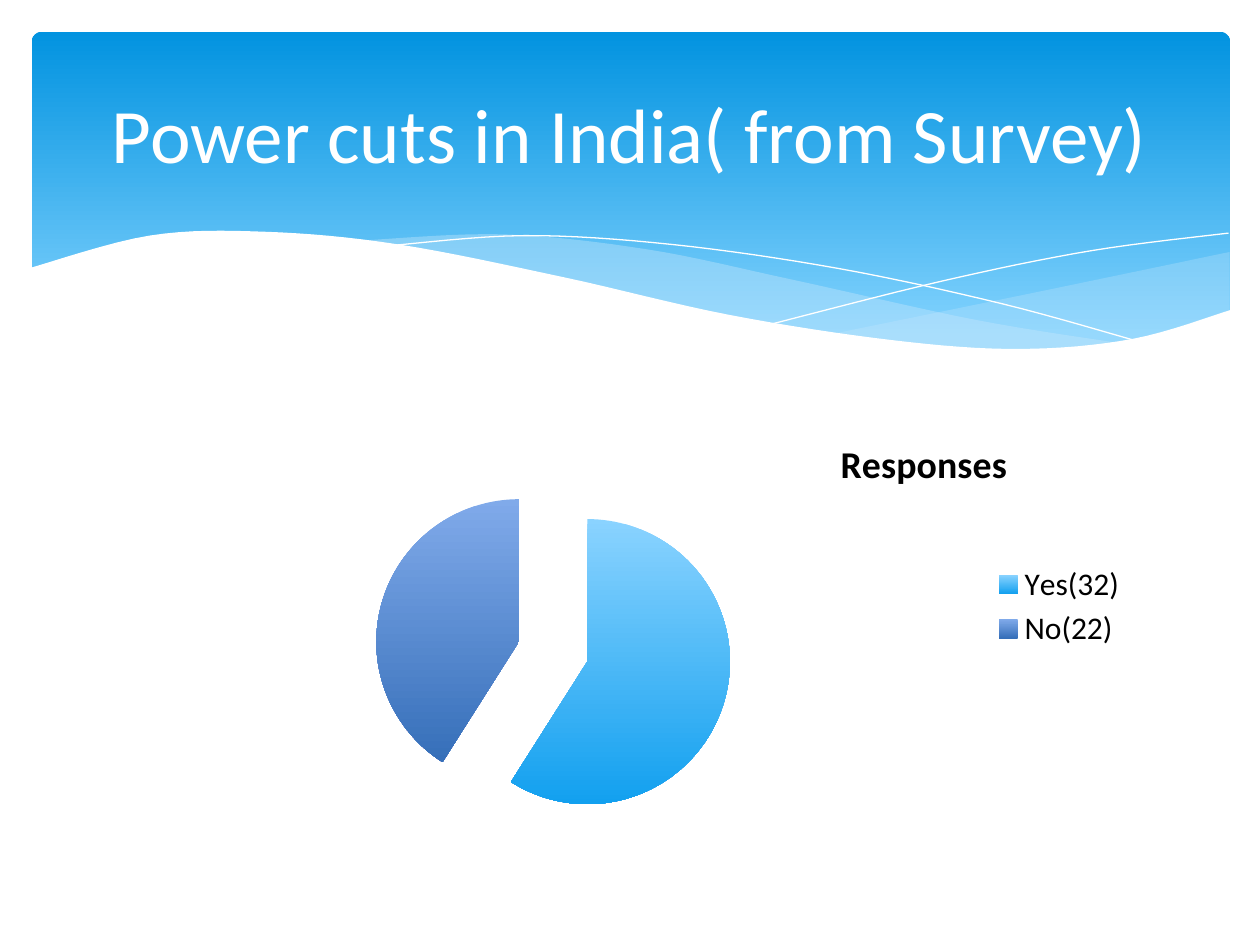
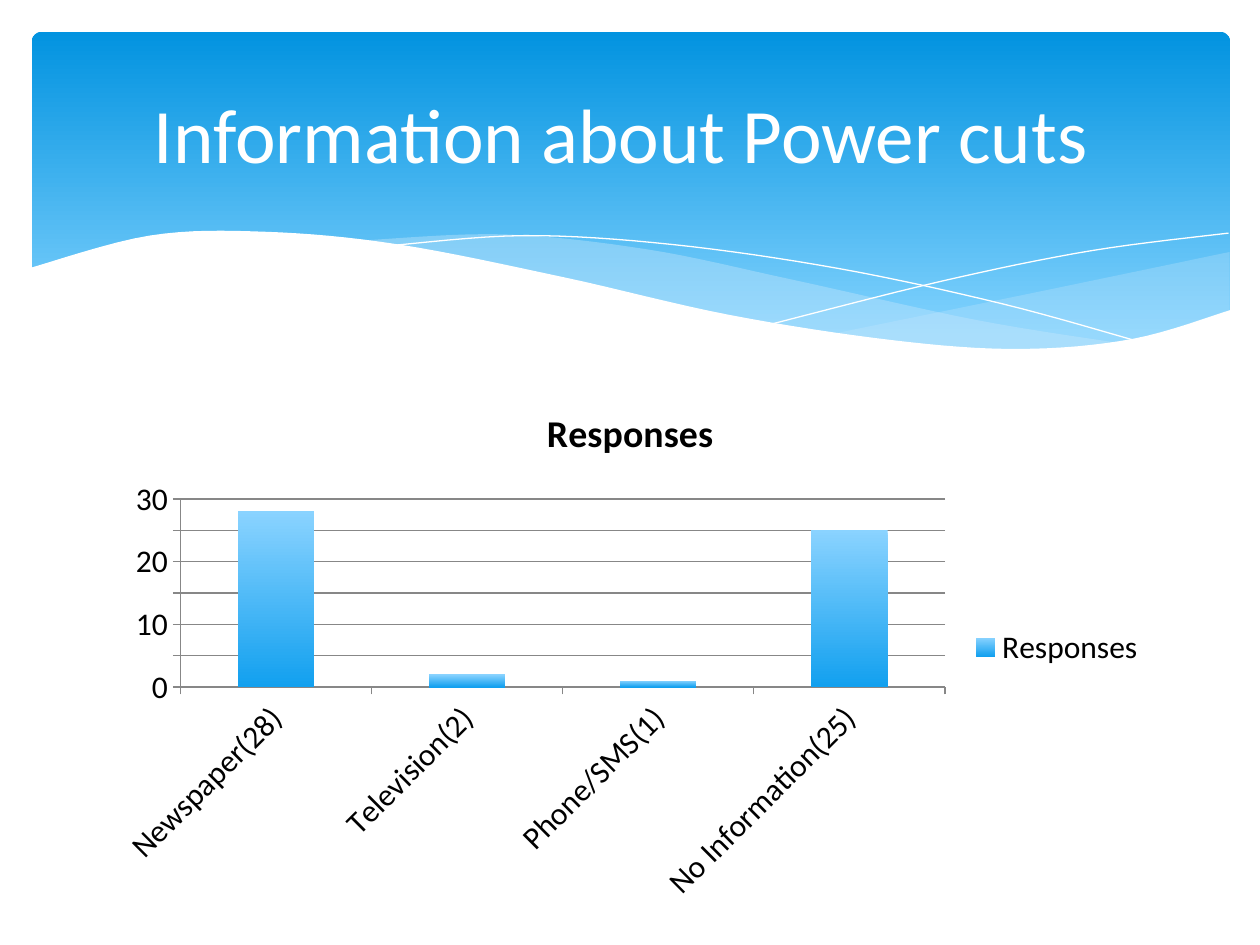
"""Build two survey slides about power cuts, each with a wave banner and a chart."""

from dataclasses import dataclass

from lxml import etree
from pptx import Presentation
from pptx.chart.chart import Chart
from pptx.chart.data import CategoryChartData
from pptx.dml.color import RGBColor
from pptx.dml.fill import FillFormat
from pptx.enum.chart import XL_CHART_TYPE, XL_LEGEND_POSITION, XL_TICK_MARK
from pptx.enum.shapes import MSO_SHAPE
from pptx.enum.text import MSO_ANCHOR, PP_ALIGN
from pptx.oxml.ns import qn
from pptx.slide import Slide
from pptx.util import Cm, Pt

PIE = XL_CHART_TYPE.PIE
COLUMN_STACKED = XL_CHART_TYPE.COLUMN_STACKED
LEGEND_RIGHT = XL_LEGEND_POSITION.RIGHT
TICK_OUTSIDE = XL_TICK_MARK.OUTSIDE
ROUNDED_RECTANGLE = MSO_SHAPE.ROUNDED_RECTANGLE
MIDDLE = MSO_ANCHOR.MIDDLE
CENTER = PP_ALIGN.CENTER

WHITE = RGBColor(0xFF, 0xFF, 0xFF)
BLACK = RGBColor(0x00, 0x00, 0x00)
GRID_GRAY = RGBColor(0x87, 0x87, 0x87)
BAND_TOP = RGBColor(0x02, 0x93, 0xE0)
BAND_BOTTOM = RGBColor(0x83, 0xD3, 0xFE)
WAVE_BLUE = RGBColor(0xC6, 0xE7, 0xFC)
SKY_LIGHT = RGBColor(0x8A, 0xD3, 0xFF)
SKY_DARK = RGBColor(0x12, 0xA0, 0xEF)
NAVY_LIGHT = RGBColor(0x80, 0xAA, 0xEA)
NAVY_DARK = RGBColor(0x36, 0x6F, 0xB9)

FONT = "Calibri"
WAVE_UNIT = Cm(2.54) / 100
CURVE_STEPS = 8

Points = list[tuple[float, float]]
Gradient = tuple[RGBColor, RGBColor]
Box = tuple[float, float, float, float]

SKY: Gradient = (SKY_LIGHT, SKY_DARK)
NAVY: Gradient = (NAVY_LIGHT, NAVY_DARK)


@dataclass(frozen=True)
class Wave:
    """Curves joined end to end, in wave units; without a fill, a white hairline."""

    curves: list[Points]
    fill: RGBColor | None = None
    opacity: int = 100


@dataclass(frozen=True)
class ChartSlide:
    """A titled slide with one chart; the box is in centimetres."""

    title: str
    kind: XL_CHART_TYPE
    box: Box
    answers: dict[str, int]


WAVES = [
    Wave([
        [(976, 200), (832, 230), (661, 265)],
        [(661, 265), (732, 274), (814, 278), (889, 272), (976, 247)],
    ], WAVE_BLUE, 29),
    Wave([
        [(893, 273), (775, 254), (629, 222), (514, 198), (399, 186), (286, 191)],
        [(286, 191), (449, 222), (566, 248), (695, 270), (796, 278), (893, 273)],
    ], WAVE_BLUE, 40),
    Wave([[(309, 195), (416, 187), (533, 194), (665, 213), (795, 241), (907, 272)]]),
    Wave([[(613, 257), (748, 223), (866, 199), (975, 185)]]),
    Wave([
        [(977, 246), (899, 269), (809, 277), (708, 270), (579, 250), (447, 220),
         (316, 194), (211, 184), (119, 187), (23, 213)],
        [(23, 329), (977, 329)],
    ], WHITE),
]

CHART_SLIDES = [
    ChartSlide("Power cuts in India( from Survey)", PIE, (2.41, 7.44, 20.57, 9.58),
               {"Yes(32)": 59, "No(22)": 41}),
    ChartSlide("Information about Power cuts ", COLUMN_STACKED, (2.06, 7.7, 21.29, 10.69),
               {"Newspaper(28)": 28, "Television(2)": 2, "Phone/SMS(1)": 1,
                "No Information(25)": 25}),
]


def smooth_curve(knots: Points) -> Points:
    """Return points of a Catmull-Rom spline through the knots."""
    padded = [knots[0], *knots, knots[-1]]
    points = [knots[0]]
    for before, start, end, after in zip(padded, padded[1:], padded[2:], padded[3:]):
        for step in range(1, CURVE_STEPS + 1):
            t = step / CURVE_STEPS
            x, y = (
                b + (c - a) * t / 2
                + (2 * a - 5 * b + 4 * c - d) * t ** 2 / 2
                + (3 * b - a - 3 * c + d) * t ** 3 / 2
                for a, b, c, d in zip(before, start, end, after)
            )
            points.append((x, y))
    return points


def fill_gradient(fill: FillFormat, colors: Gradient, end: float = 1.0) -> None:
    """Fill from top to bottom with two colours."""
    fill.gradient()
    fill.gradient_angle = 270
    for stop, color, position in zip(fill.gradient_stops, colors, (0.0, end)):
        stop.color.rgb = color
        stop.position = position


def draw_wave(slide: Slide, wave: Wave) -> None:
    """Draw one curve of the banner."""
    points = [
        (x * WAVE_UNIT, y * WAVE_UNIT)
        for knots in wave.curves for x, y in smooth_curve(knots)
    ]
    builder = slide.shapes.build_freeform(*points[0])
    builder.add_line_segments(points[1:], close=wave.fill is not None)
    shape = builder.convert_to_shape()
    shape.shadow.inherit = False
    if wave.fill is None:
        shape.fill.background()
        shape.line.color.rgb = WHITE
        shape.line.width = Pt(0)
        return
    shape.fill.solid()
    shape.fill.fore_color.rgb = wave.fill
    shape.line.fill.background()
    if wave.opacity < 100:
        color = shape.element.spPr.find(".//" + qn("a:srgbClr"))
        etree.SubElement(color, qn("a:alpha"), val=str(wave.opacity * 1000))


def draw_banner(slide: Slide, title: str) -> None:
    """Draw the gradient band, its waves and the slide title."""
    band = slide.shapes.add_shape(ROUNDED_RECTANGLE, Cm(0.64), Cm(0.64), Cm(24.16), Cm(6.86))
    band.adjustments[0] = 0.03
    band.shadow.inherit = False
    band.line.fill.background()
    fill_gradient(band.fill, (BAND_TOP, BAND_BOTTOM), 0.9)
    for wave in WAVES:
        draw_wave(slide, wave)

    title_box = slide.shapes.add_textbox(Cm(1.27), Cm(0.94), Cm(22.86), Cm(3.48))
    frame = title_box.text_frame
    frame.word_wrap = True
    frame.vertical_anchor = MIDDLE
    paragraph = frame.paragraphs[0]
    paragraph.text = title
    paragraph.alignment = CENTER
    paragraph.font.name = FONT
    paragraph.font.size = Pt(44)
    paragraph.font.color.rgb = WHITE


def place_chart_part(part: etree._Element, index: int, **fractions: float) -> None:
    """Place a chart part by fractions of the chart area."""
    for previous in part.findall(qn("c:layout")):
        part.remove(previous)
    layout = etree.Element(qn("c:layout"))
    manual = etree.SubElement(layout, qn("c:manualLayout"))
    if "w" in fractions:
        etree.SubElement(manual, qn("c:layoutTarget"), val="inner")
    for axis in "xy":
        etree.SubElement(manual, qn(f"c:{axis}Mode"), val="edge")
    for name, value in fractions.items():
        etree.SubElement(manual, qn(f"c:{name}"), val=str(value))
    part.insert(index, layout)


def style_pie(chart: Chart) -> None:
    """Pull the slices apart, colour them and place the pie and its title."""
    chart.plots[0].vary_by_categories = True
    series_element = chart.element.find(".//" + qn("c:ser"))
    explosion = etree.Element(qn("c:explosion"), val="25")
    series_element.find(qn("c:tx")).addnext(explosion)
    for index, colors in enumerate((SKY, NAVY)):
        fill_gradient(chart.series[0].points[index].format.fill, colors)
    place_chart_part(chart.chart_title.element, 1, x=0.7, y=0.13)
    plot_area = chart.element.find(".//" + qn("c:plotArea"))
    place_chart_part(plot_area, 0, x=0.25, y=0.22, w=0.35, h=0.75)


def style_columns(chart: Chart) -> None:
    """Colour the columns, axes and gridlines."""
    plot = chart.plots[0]
    plot.vary_by_categories = False
    plot.gap_width = 150
    plot.overlap = 100
    fill_gradient(chart.series[0].format.fill, SKY)
    chart.value_axis.has_major_gridlines = True
    for axis in (chart.category_axis, chart.value_axis):
        axis.major_tick_mark = TICK_OUTSIDE
        axis.format.line.color.rgb = GRID_GRAY
    chart.value_axis.major_gridlines.format.line.color.rgb = GRID_GRAY


def draw_chart(slide: Slide, content: ChartSlide) -> None:
    """Add the chart of survey responses."""
    data = CategoryChartData()
    data.categories = list(content.answers)
    data.add_series("Responses", list(content.answers.values()))
    box = [Cm(length) for length in content.box]
    chart = slide.shapes.add_chart(content.kind, *box, data).chart
    chart.font.name = FONT
    chart.font.size = Pt(18)
    chart.font.color.rgb = BLACK
    chart.has_legend = True
    chart.legend.position = LEGEND_RIGHT
    chart.legend.include_in_layout = False
    chart.has_title = True
    paragraph = chart.chart_title.text_frame.paragraphs[0]
    paragraph.text = "Responses"
    paragraph.font.name = FONT
    paragraph.font.size = Pt(21.6)
    paragraph.font.bold = True
    paragraph.font.color.rgb = BLACK
    if content.kind == PIE:
        style_pie(chart)
    else:
        style_columns(chart)


def main() -> None:
    """Build and save the presentation."""
    presentation = Presentation()
    presentation.slide_width = Cm(25.4)
    presentation.slide_height = Cm(19.05)
    blank_layout = presentation.slide_layouts[6]
    for content in CHART_SLIDES:
        slide = presentation.slides.add_slide(blank_layout)
        draw_banner(slide, content.title)
        draw_chart(slide, content)
    presentation.save("out.pptx")


if __name__ == "__main__":
    main()
